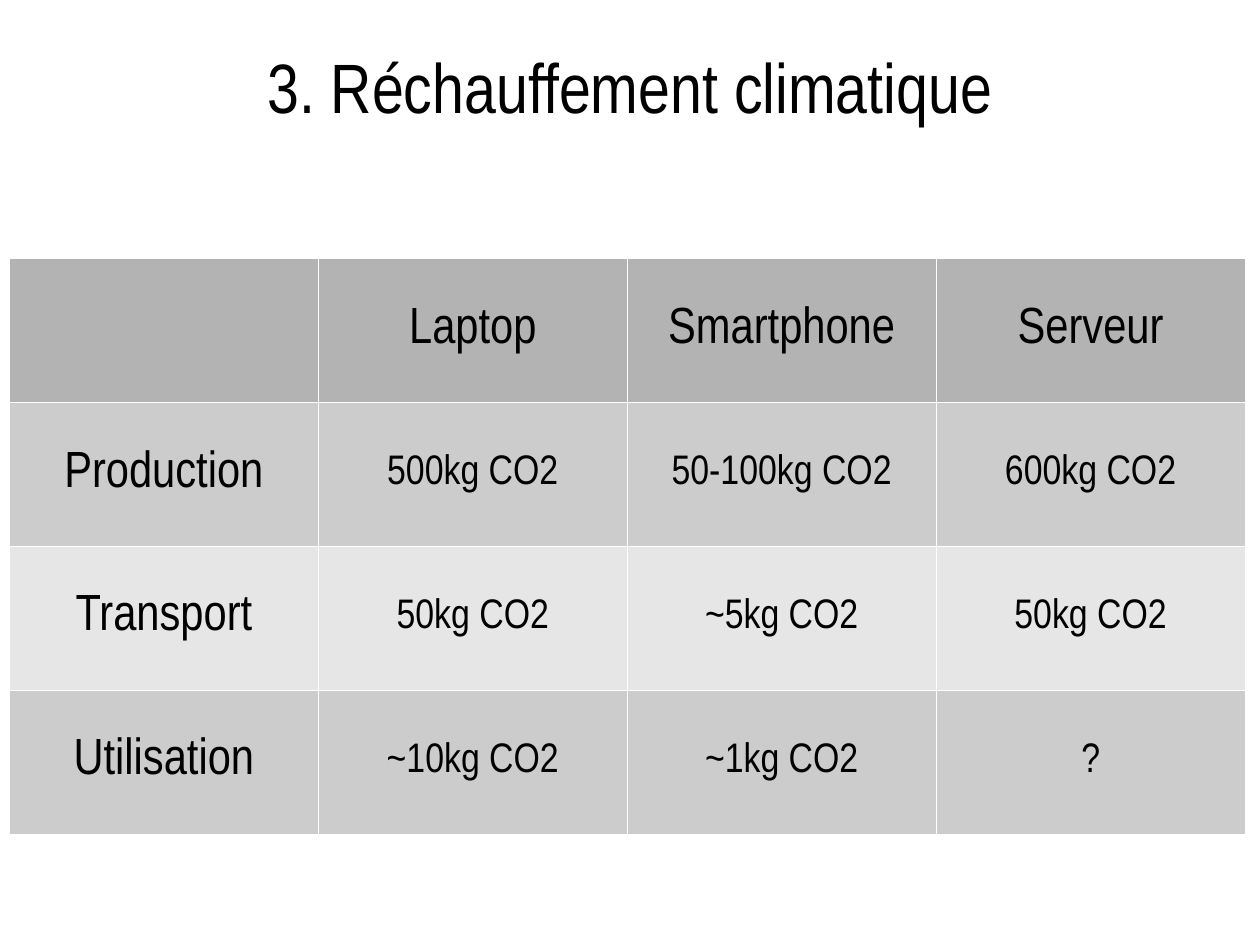
import pptx
import pptx.util
import pptx.dml.color
import pptx.enum.text
import pptx.oxml

Pt = pptx.util.Pt
RGBColor = pptx.dml.color.RGBColor

BLACK = RGBColor(0x00, 0x00, 0x00)
HEADER_GREY = RGBColor(0xB3, 0xB3, 0xB3)
DARK_BAND = RGBColor(0xCC, 0xCC, 0xCC)
LIGHT_BAND = RGBColor(0xE6, 0xE6, 0xE6)
WHITE = RGBColor(0xFF, 0xFF, 0xFF)

DRAWING_NAMESPACE = "http://schemas.openxmlformats.org/drawingml/2006/main"


def write_text(text_frame, text, size, color=BLACK, font_name="Arial Narrow"):
    paragraph = text_frame.paragraphs[0]
    paragraph.alignment = pptx.enum.text.PP_ALIGN.CENTER
    run = paragraph.add_run()
    run.text = text
    run.font.size = Pt(size)
    run.font.name = font_name
    run.font.color.rgb = color


def add_borders(cell, color, width):
    properties = cell._tc.get_or_add_tcPr()
    for side in ("lnL", "lnR", "lnT", "lnB"):
        properties.append(pptx.oxml.parse_xml(
            f'<a:{side} xmlns:a="{DRAWING_NAMESPACE}" w="{int(Pt(width))}">'
            f'<a:solidFill><a:srgbClr val="{color}"/></a:solidFill></a:{side}>'))


presentation = pptx.Presentation()
presentation.slide_width = Pt(793.75)
presentation.slide_height = Pt(595.25)
slide = presentation.slides.add_slide(presentation.slide_layouts[5])

# Title
title = slide.shapes.title
title.left, title.top, title.width, title.height = Pt(20), Pt(5.5), Pt(753.75), Pt(96.5)
title_frame = title.text_frame
title_frame.margin_left = title_frame.margin_right = 0
title_frame.margin_top = title_frame.margin_bottom = 0
title_frame.vertical_anchor = pptx.enum.text.MSO_ANCHOR.MIDDLE
title_frame.word_wrap = True
write_text(title_frame, "3. Réchauffement climatique", size=44)

# Emissions table
emissions = [
    ["", "Laptop", "Smartphone", "Serveur"],
    ["Production", "500kg CO2", "50-100kg CO2", "600kg CO2"],
    ["Transport", "50kg CO2", "~5kg CO2", "50kg CO2"],
    ["Utilisation", "~10kg CO2", "~1kg CO2", "?"],
]
row_fills = [HEADER_GREY, DARK_BAND, LIGHT_BAND, DARK_BAND]
column_width, row_height = 194.6, 90.65

table = slide.shapes.add_table(
    4, 4, Pt(6), Pt(162.6), Pt(4 * column_width), Pt(4 * row_height)).table
table.first_row = False
table.horz_banding = False
for column in table.columns:
    column.width = Pt(column_width)
for row in table.rows:
    row.height = Pt(row_height)

for row_index, (labels, row_fill) in enumerate(zip(emissions, row_fills)):
    for column_index, label in enumerate(labels):
        cell = table.cell(row_index, column_index)
        cell.vertical_anchor = pptx.enum.text.MSO_ANCHOR.MIDDLE
        add_borders(cell, WHITE, width=0.06)
        cell.fill.solid()
        cell.fill.fore_color.rgb = row_fill
        is_heading = row_index == 0 or column_index == 0
        if label:
            write_text(cell.text_frame, label, size=32 if is_heading else 26)

presentation.save("out.pptx")
